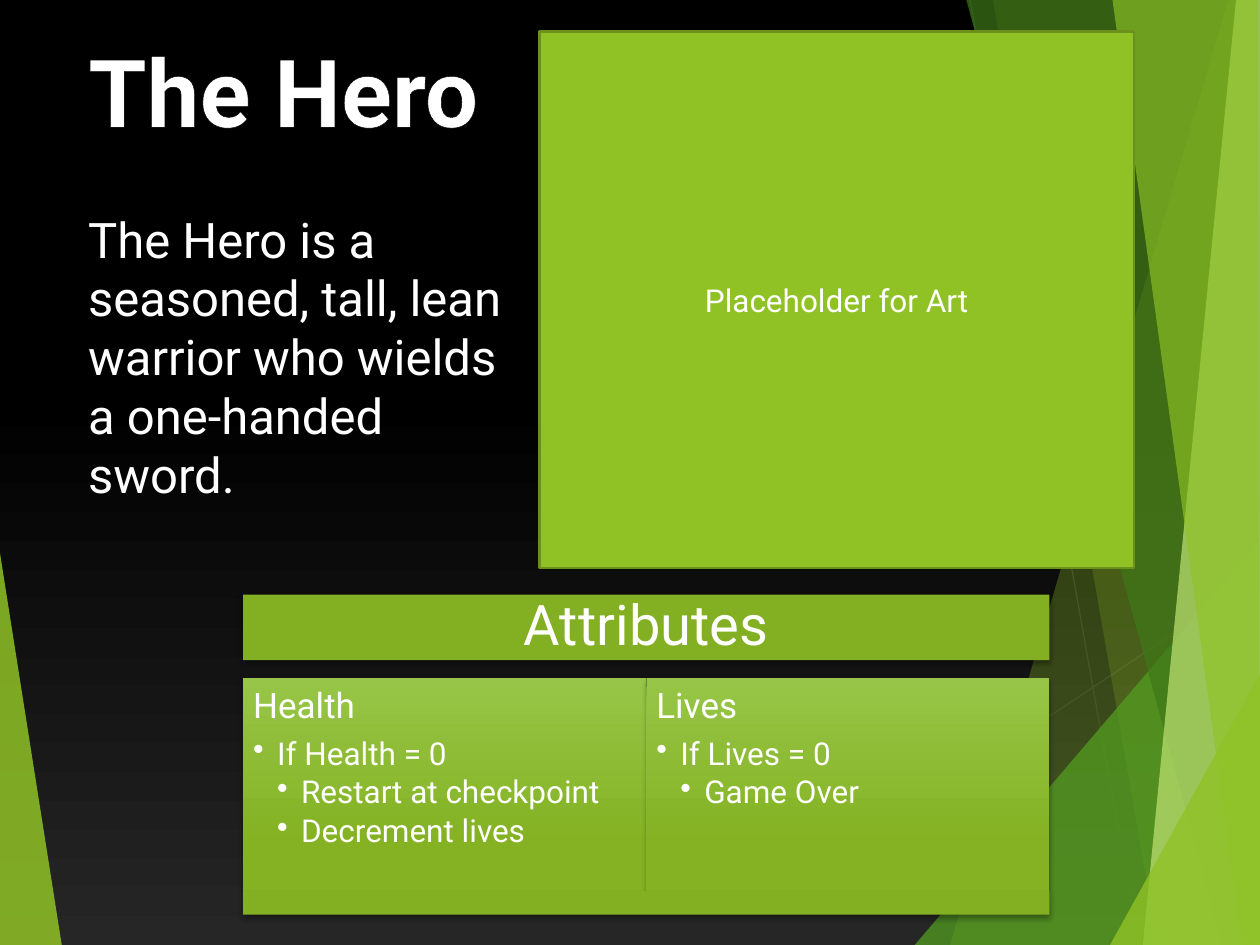
from lxml import etree
from pptx import Presentation
from pptx.dml.color import RGBColor
from pptx.enum.shapes import MSO_CONNECTOR, MSO_SHAPE
from pptx.enum.text import MSO_ANCHOR, MSO_AUTO_SIZE, PP_ALIGN
from pptx.oxml.ns import qn
from pptx.util import Pt

PX = 9144  # EMU per px, 100 px to the inch
W, H = 1000, 750
FONT = "Roboto"
RECT, STRAIGHT = MSO_SHAPE.RECTANGLE, MSO_CONNECTOR.STRAIGHT
LEFT, CENTER = PP_ALIGN.LEFT, PP_ALIGN.CENTER
TOP, MIDDLE = MSO_ANCHOR.TOP, MSO_ANCHOR.MIDDLE
NO_FIT = MSO_AUTO_SIZE.NONE

COLORS = {
    "black": "000000", "char": "262626", "white": "FFFFFF",
    "lime": "90C226", "green": "54A021", "forest": "3F7819", "pale": "C0E474",
    "edge": "6B901C", "bar": "83B022", "card_top": "97C547", "card_end": "84B223",
}


def rgb(name):
    return RGBColor.from_string(COLORS[name])


def add(parent, tag, **attrs):
    return etree.SubElement(parent, qn(tag), {k: str(v) for k, v in attrs.items()})


class Deck:
    def __init__(self):
        self.prs = Presentation()
        self.prs.slide_width, self.prs.slide_height = W * PX, H * PX
        self.s = self.prs.slides.add_slide(self.prs.slide_layouts[1])

    def gradient(self, fill, *stops):
        fill.gradient()
        fill.gradient_angle = 270
        for stop, (pos, color) in zip(fill.gradient_stops, stops):
            stop.position = pos
            stop.color.rgb = rgb(color)

    def line(self, x1, y1, x2, y2, color):
        c = self.s.shapes.add_connector(STRAIGHT, *(v * PX for v in (x1, y1, x2, y2)))
        c.line.color.rgb = rgb(color)
        c.line.width = Pt(0.75)
        add(c._element.spPr, "a:effectLst")

    def shard(self, color, alpha, points):
        builder = self.s.shapes.build_freeform(*points[0], scale=PX)
        builder.add_line_segments(points[1:], close=True)
        sp = builder.convert_to_shape()
        sp.shadow.inherit = False
        sp.fill.solid()
        sp.fill.fore_color.rgb = rgb(color)
        sp.line.fill.background()
        add(sp._element.spPr.find(".//" + qn("a:srgbClr")), "a:alpha", val=alpha * 1000)

    def box(self, x, y, w, h, fill, edge=None, shadow=True):
        sp = self.s.shapes.add_shape(RECT, x * PX, y * PX, w * PX, h * PX)
        sp.shadow.inherit = False
        if isinstance(fill, str):
            sp.fill.solid()
            sp.fill.fore_color.rgb = rgb(fill)
        else:
            self.gradient(sp.fill, *fill)
        if edge:
            sp.line.color.rgb = rgb(edge)
            sp.line.width = Pt(1.5)
        else:
            sp.line.fill.background()
        if shadow:
            effects = sp._element.spPr.find(qn("a:effectLst"))
            outer = add(effects, "a:outerShdw", blurRad=Pt(3), dist=Pt(2),
                        dir=90 * 60000, rotWithShape=0)
            add(add(outer, "a:srgbClr", val=COLORS["black"]), "a:alpha", val=35000)
        return sp

    def frame(self, sp, anchor, inset=None):
        tf = sp.text_frame
        tf.word_wrap = True
        tf.auto_size = NO_FIT
        tf.vertical_anchor = anchor
        if inset is not None:
            tf.margin_left = tf.margin_right = inset * PX
            tf.margin_top = tf.margin_bottom = inset * PX
        return tf

    def para(self, p, text, size, align=LEFT, level=0, spacing=None, after=0, bold=False):
        p.text = text
        p.level = level
        pPr = p._p.get_or_add_pPr()
        indent = 19 * PX if level else 0
        pPr.set("marL", str(level * indent))
        pPr.set("indent", str(-indent))
        if level:
            add(pPr, "a:buChar", char="•")
        else:
            add(pPr, "a:buNone")
        p.alignment = align
        p.space_before, p.space_after = Pt(0), Pt(after)
        if spacing:
            p.line_spacing = spacing
        for r in p.runs:
            r.font.name, r.font.size, r.font.bold = FONT, Pt(size), bold
            r.font.color.rgb = rgb("white")

    def placeholder(self, idx, x, y, w, h, text, size, anchor, **style):
        sp = self.s.placeholders[idx]
        self.s.shapes._spTree.append(sp._element)  # in front of the backdrop
        sp.left, sp.top, sp.width, sp.height = (v * PX for v in (x, y, w, h))
        p = self.frame(sp, anchor).paragraphs[0]
        self.para(p, text, size, **style)
        return p

    def label(self, sp, text, size, **style):
        tf = self.frame(sp, MIDDLE)
        self.para(tf.paragraphs[0], text, size, align=CENTER, **style)

    def card(self, x, y, w, h, heading, items):
        sp = self.box(x, y, w, h, [(0, "card_top"), (0.78, "card_end")])
        tf = self.frame(sp, TOP, inset=8)
        self.para(tf.paragraphs[0], heading, 20, spacing=0.9, after=7)
        for level, text in items:
            self.para(tf.add_paragraph(), text, 18, level=level, spacing=0.9, after=2.7)


def main():
    d = Deck()

    # Backdrop
    d.gradient(d.s.background.fill, (0.42, "black"), (1, "char"))
    d.line(561, H, W, 457, "char")
    d.line(770, 0, 904, H, "char")
    for color, alpha, points in [
        ("lime", 85, [(0, 439), (49, H), (0, H)]),
        ("lime", 30, [(975, 0), (754, H), (W, H), (W, 0)]),
        ("lime", 20, [(788, 0), (919, H), (W, H), (W, 0)]),
        ("green", 72, [(726, H), (W, 429), (W, H)]),
        ("forest", 70, [(767, 0), (970, H), (W, H), (W, 0)]),
        ("pale", 70, [(981, 0), (907, H), (W, H), (W, 0)]),
        ("lime", 65, [(883, 0), (986, H), (W, H), (998, 0)]),
        ("lime", 80, [(881, H), (W, 535), (W, H)]),
    ]:
        d.shard(color, alpha, points)

    # Description and title
    d.placeholder(1, 60, 161, 350, 250,
                  "The Hero is a seasoned, tall, lean warrior who wields a one-handed sword.",
                  28, TOP, after=6)
    p = d.placeholder(0, 60, 21, 590, 100, "The Hero", 54, MIDDLE, bold=True)
    rPr = p.runs[0].font._element
    ln = add(rPr, "a:ln", w=Pt(1.06))
    add(add(ln, "a:solidFill"), "a:srgbClr", val=COLORS["black"])
    rPr.insert(0, ln)

    # Art area
    art = d.box(428, 25, 472, 426, "lime", edge="edge", shadow=False)
    d.label(art, "Placeholder for Art", 18)

    # Attributes: header, two cards, footer strip
    x, card_w, card_y, card_h = 193, 320, 538, 169
    d.label(d.box(x, 472, 2 * card_w, 52, "bar"), "Attributes", 32, spacing=0.9)
    cards = [
        ("Health", [(1, "If Health = 0"), (2, "Restart at checkpoint"), (2, "Decrement lives")]),
        ("Lives", [(1, "If Lives = 0"), (2, "Game Over")]),
    ]
    for i, (heading, items) in enumerate(cards):
        d.card(x + i * card_w, card_y, card_w, card_h, heading, items)
    d.box(x, card_y + card_h, 2 * card_w, 19, "bar")

    d.prs.save("out.pptx")


if __name__ == "__main__":
    main()
